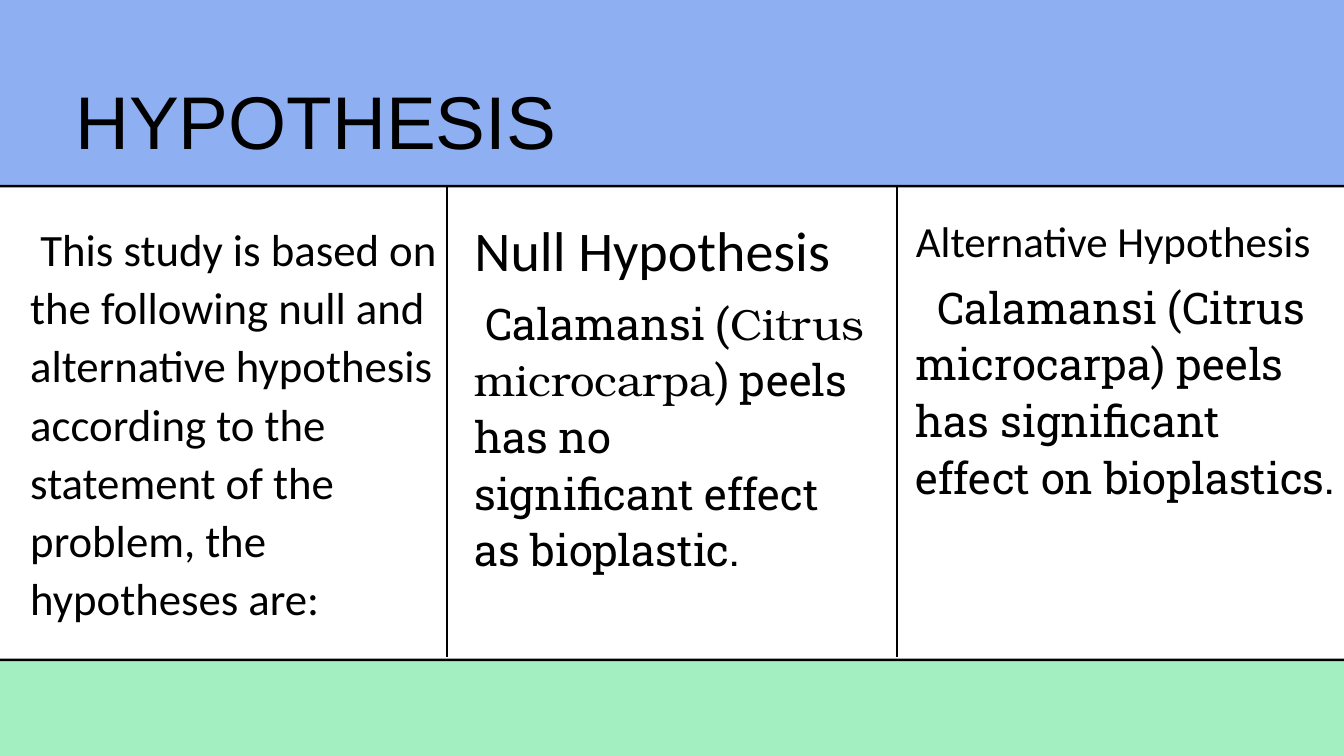
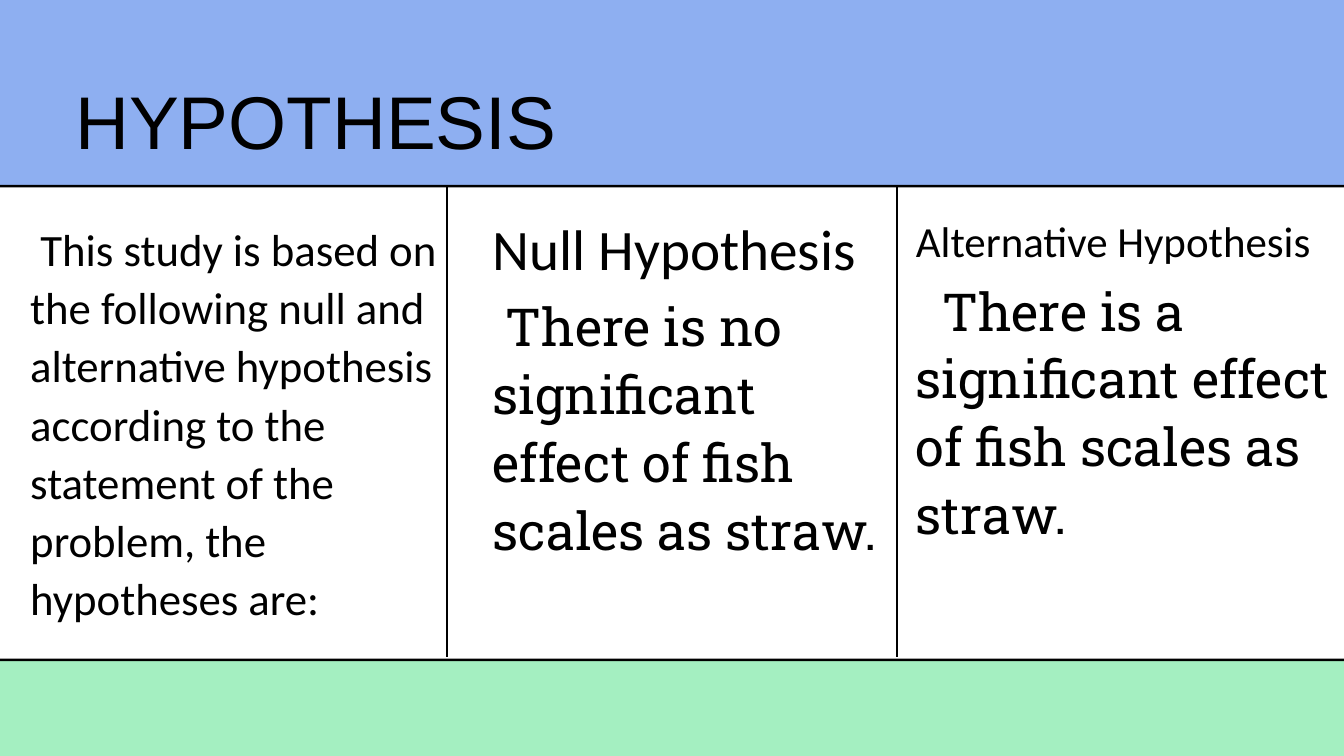
from dataclasses import dataclass

from pptx import Presentation
from pptx import util as u
from pptx.dml.color import RGBColor
from pptx.enum import shapes, text
from pptx.oxml.ns import qn
from lxml import etree

PX = 9144
WIDTH, HEIGHT = 2000, 1125


@dataclass(frozen=True)
class Theme:
    ink: str = "000000"
    paper: str = "FFFFFF"
    header: str = "8EAFF1"
    footer: str = "A4EFC1"
    title_font: str = "Arial"
    label_font: str = "Calibri"
    body_font: str = "Roboto Slab"
    species_font: str = "TeX Gyre Bonum"
    title_size: float = 80
    intro_size: float = 48
    rule: float = 2.25


T = Theme()
HEADER_BOX = (-32, -21, 2045, 300)
FOOTER_BOX = (-32, 980, 2045, 161)
COLUMN_RULES = (665, 1335)
RULE_TOP, RULE_BOTTOM = 277, 978
ALTERNATIVE = dict(box=(1363, 313, 637, 79), label="Alternative Hypothesis",
                   label_size=46, label_leading=59.9)

SLIDES = [
    (
        dict(box=(706, 312, 588, 105), label="Null Hypothesis",
             label_size=60, label_leading=78, body_top=123, body_height=508,
             body_size=46.7, body_leading=60.7, indent=16,
             body=[[("Calamansi (", T.body_font),
                    ("Citrus microcarpa", T.species_font),
                    (") peels has no", T.body_font)],
                   "significant effect as bioplastic."]),
        dict(ALTERNATIVE, body_top=98, body_height=508,
             body_size=46.7, body_leading=60.7, indent=32,
             body=["Calamansi (Citrus microcarpa) peels",
                   "has significant effect on bioplastics."]),
    ),
    (
        dict(box=(733, 309, 600, 107), label="Null Hypothesis",
             label_size=61.3, label_leading=79.7, body_top=121, body_height=515,
             body_size=56, body_leading=72.8, indent=20,
             body=["There is no significant effect of fish scales as straw."]),
        dict(ALTERNATIVE, body_top=94, body_height=582,
             body_size=56, body_leading=72.8, indent=40,
             body=["There is a significant effect of fish scales as straw."]),
    ),
]


def rgb(color):
    return RGBColor.from_string(color)


def add_text(parent, box, paragraphs, *, font, size, leading, indent=0):
    sp = parent.add_textbox(*(v * PX for v in box))
    tf = sp.text_frame
    tf.word_wrap = True
    tf.auto_size = text.MSO_AUTO_SIZE.SHAPE_TO_FIT_TEXT
    tf.margin_left = tf.margin_right = tf.margin_top = tf.margin_bottom = 0
    for i, runs in enumerate(paragraphs):
        p = tf.add_paragraph() if i else tf.paragraphs[0]
        p.alignment = text.PP_ALIGN.LEFT
        p.line_spacing = u.Pt(leading)
        if indent and i == 0:
            p_pr = p._p.get_or_add_pPr()
            p_pr.set("marL", "0")
            p_pr.set("indent", str(indent * PX))
        for content, face in [(runs, font)] if isinstance(runs, str) else runs:
            r = p.add_run()
            r.text = content
            r.font.name = face
            r.font.size = u.Pt(size)
            r.font.color.rgb = rgb(T.ink)


def corners(box, inset):
    x, y, w, h = box
    left, top, right, bottom = x + inset, y + inset, x + w - inset, y + h - inset
    return [(left, top), (right, top), (right, bottom), (left, bottom)]


def add_outline(parent, contours, color):
    first, *others = contours
    builder = parent.build_freeform(*first[0], scale=PX)
    builder.add_line_segments(first[1:], close=True)
    for contour in others:
        builder.move_to(*contour[0])
        builder.add_line_segments(contour[1:], close=True)
    sp = builder.convert_to_shape()
    sp.shadow.inherit = False
    sp.fill.solid()
    sp.fill.fore_color.rgb = rgb(color)
    sp.line.fill.background()


def add_band(s, box, color):
    band = s.shapes.add_group_shape().shapes
    add_outline(band, [corners(box, 2)], color)
    add_outline(band, [corners(box, 0), corners(box, 4)[::-1]], T.ink)


def add_column_rule(s, x):
    line = s.shapes.add_connector(shapes.MSO_CONNECTOR.STRAIGHT,
                                  x * PX, RULE_TOP * PX, x * PX, RULE_BOTTOM * PX)
    line.line.color.rgb = rgb(T.ink)
    line.line.width = u.Pt(T.rule)
    etree.SubElement(line._element.spPr, qn("a:effectLst"))


def add_hypothesis(s, *, box, label, label_size, label_leading,
                   body_top, body_height, body_size, body_leading, indent, body):
    x, y, w, _ = box
    column = s.shapes.add_group_shape().shapes
    add_text(column, box, [label], font=T.label_font,
             size=label_size, leading=label_leading)
    add_text(column, (x, y + body_top, w, body_height), body, font=T.body_font,
             size=body_size, leading=body_leading, indent=indent)


def add_hypothesis_slide(prs, columns):
    s = prs.slides.add_slide(prs.slide_layouts[6])
    s.background.fill.solid()
    s.background.fill.fore_color.rgb = rgb(T.paper)
    add_band(s, HEADER_BOX, T.header)
    add_band(s, FOOTER_BOX, T.footer)
    for x in COLUMN_RULES:
        add_column_rule(s, x)
    add_text(s.shapes, (112, 112, 1775, 133), ["HYPOTHESIS"],
             font=T.title_font, size=T.title_size, leading=96)
    add_text(s.shapes, (45, 323, 619, 689),
             ["This study is based on the following null and alternative hypothesis "
              "according to the statement of the problem, the hypotheses are:"],
             font=T.label_font, size=T.intro_size, leading=62.4, indent=15)
    for column in columns:
        add_hypothesis(s, **column)


def main():
    prs = Presentation()
    prs.slide_width, prs.slide_height = WIDTH * PX, HEIGHT * PX
    for columns in SLIDES:
        add_hypothesis_slide(prs, columns)
    prs.save("out.pptx")


if __name__ == "__main__":
    main()
